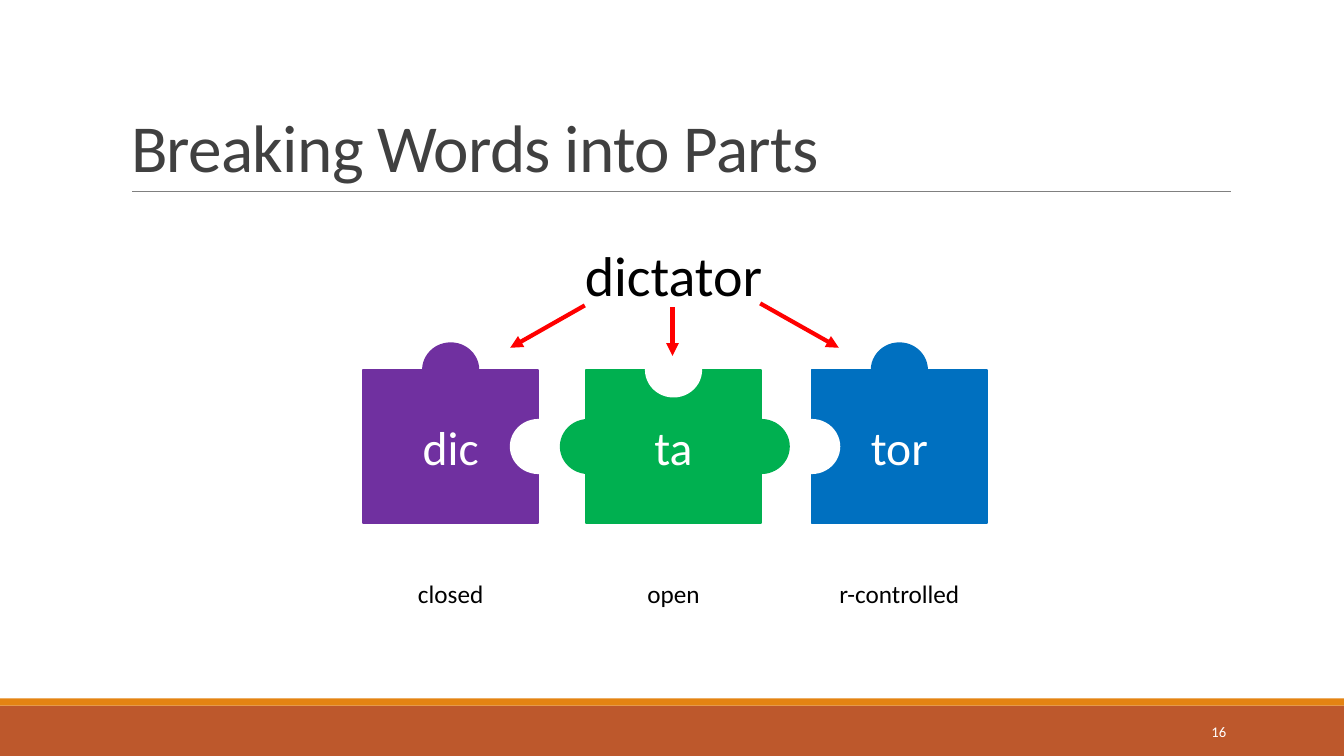
from lxml import etree
from pptx import Presentation
from pptx.dml.color import RGBColor
from pptx.enum.shapes import MSO_CONNECTOR, MSO_SHAPE
from pptx.enum.text import MSO_ANCHOR as ANCHOR, PP_ALIGN as ALIGN
from pptx.oxml.ns import qn
from pptx.util import Inches, Pt

FONT = "Calibri"
WHITE, BLACK, RED = "FFFFFF", "000000", "FF0000"
PURPLE, GREEN, BLUE = "7030A0", "00B050", "0070C0"
PIECE_TOP, PIECE_W, PIECE_H = 3.67, 1.74, 1.52
KNOB_W, KNOB_H = 0.55, 0.53
TOP, LEFT, RIGHT = (0.5, 0), (0, 0.5), (1, 0.5)
GREEN_LEFT = (0.015, 0.5)

# left edge, syllable, syllable type, colour, [(side, knob colour)]
PIECES = [
    (3.6, "dic", "closed", PURPLE, [(RIGHT, WHITE), (TOP, PURPLE)]),
    (8.05, "tor", "r-controlled", BLUE, [(LEFT, WHITE), (TOP, BLUE)]),
    (5.81, "ta", "open", GREEN,
     [(TOP, WHITE), (GREEN_LEFT, GREEN), (RIGHT, GREEN)]),
]
ARROWS = [
    ((5.8, 3.03), (5.06, 3.45)),
    ((6.67, 3.05), (6.67, 3.53)),
    ((7.54, 3.01), (8.32, 3.45)),
]


def rgb(color):
    """Turn a hex string into a colour."""
    return RGBColor.from_string(color)


def write(sp, text, size, color, align, anchor):
    """Put one formatted paragraph into a shape."""
    tf = sp.text_frame
    tf.text = text
    tf.word_wrap = True
    tf.vertical_anchor = anchor
    p = tf.paragraphs[0]
    p.alignment = align
    font = p.runs[0].font
    font.name, font.size = FONT, Pt(size)
    font.color.rgb = rgb(color)
    return p


def add_block(shapes, kind, box, color, border=None):
    """Add a filled shape, with a border width in points if given."""
    sp = shapes.add_shape(kind, *map(Inches, box))
    sp.shadow.inherit = False
    sp.fill.solid()
    sp.fill.fore_color.rgb = rgb(color)
    if border:
        sp.line.color.rgb = rgb(color)
        sp.line.width = Pt(border)
    else:
        sp.line.fill.background()
    return sp


def add_label(shapes, box, text, size, color=BLACK, align=ALIGN.CENTER,
              anchor=ANCHOR.TOP):
    """Add a text box with one line of text."""
    sp = shapes.add_textbox(*map(Inches, box))
    write(sp, text, size, color, align, anchor)


def add_line(shapes, start, end, color, width, arrow=False):
    """Add a straight line, optionally with an arrowhead at its end."""
    line = shapes.add_connector(MSO_CONNECTOR.STRAIGHT,
                                *map(Inches, start + end))
    line.line.color.rgb = rgb(color)
    line.line.width = Pt(width)
    if arrow:
        etree.SubElement(line.line._get_or_add_ln(), qn("a:tailEnd"),
                         type="triangle")
    etree.SubElement(line._element.spPr, qn("a:effectLst"))


def add_piece(shapes, left, syllable, color, knobs):
    """Add a puzzle piece as a group of a block and its knobs."""
    group = shapes.add_group_shape().shapes
    block = add_block(group, MSO_SHAPE.RECTANGLE,
                      (left, PIECE_TOP, PIECE_W, PIECE_H), color, 1.25)
    write(block, syllable, 34, WHITE, ALIGN.CENTER, ANCHOR.MIDDLE)
    for (across, down), knob_color in knobs:
        x = left + across * PIECE_W - KNOB_W / 2
        y = PIECE_TOP + down * PIECE_H - KNOB_H / 2
        add_block(group, MSO_SHAPE.OVAL, (x, y, KNOB_W, KNOB_H),
                  knob_color, 1.25)


def add_frame(shapes):
    """Add the footer bands, the title rule and the slide number."""
    add_block(shapes, MSO_SHAPE.RECTANGLE, (0, 7, 13.33, 0.5), "BD582C")
    add_block(shapes, MSO_SHAPE.RECTANGLE, (0, 6.93, 13.33, 0.07), "E48312")
    add_line(shapes, (1.31, 1.9), (12.21, 1.9), "808080", 0.5)
    add_label(shapes, (10.83, 7.06, 1.43, 0.4), "16", 10.5, WHITE,
              ALIGN.RIGHT, ANCHOR.MIDDLE)


def set_title(sp, text):
    """Place and format the title placeholder."""
    sp.left, sp.top, sp.width, sp.height = map(Inches, (1.2, 0.31, 11, 1.59))
    p = write(sp, text, 48, "404040", ALIGN.LEFT, ANCHOR.BOTTOM)
    p.line_spacing = 0.85
    p.runs[0].font._element.set("spc", "-50")


def main():
    """Build the slide and save it."""
    prs = Presentation()
    prs.slide_width, prs.slide_height = Inches(13.33), Inches(7.5)
    slide = prs.slides.add_slide(prs.slide_layouts[5])
    shapes = slide.shapes
    add_frame(shapes)
    set_title(shapes.title, "Breaking Words into Parts")
    for left, syllable, kind, color, knobs in PIECES:
        add_piece(shapes, left, syllable, color, knobs)
        add_label(shapes, (left, 5.69, PIECE_W, 0.4), kind, 18)
    add_label(shapes, (3.94, 2.34, 5.48, 0.77), "dictator", 40)
    for start, end in ARROWS:
        add_line(shapes, start, end, RED, 3, arrow=True)
    prs.save("out.pptx")


if __name__ == "__main__":
    main()
